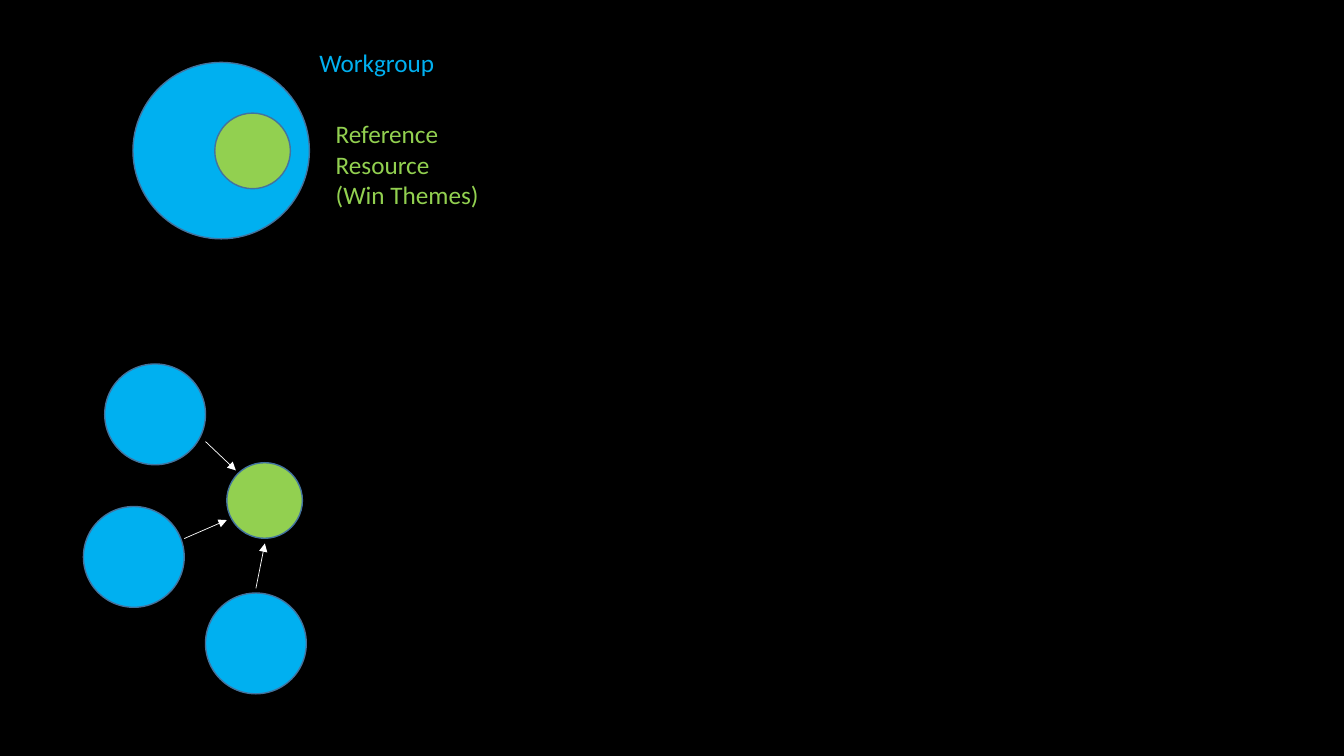
from dataclasses import dataclass
from lxml import etree
from pptx import Presentation
from pptx.dml.color import RGBColor as RGB
from pptx.enum.shapes import MSO_CONNECTOR as CONN, MSO_SHAPE as SHAPE
from pptx.enum.text import MSO_AUTO_SIZE as AUTO
from pptx.oxml.ns import qn
from pptx.util import Pt


@dataclass(frozen=True)
class Theme:
    background: RGB = RGB(0x00, 0x00, 0x00)
    workgroup: RGB = RGB(0x00, 0xB0, 0xF0)
    resource: RGB = RGB(0x92, 0xD0, 0x50)
    outline: RGB = RGB(0x43, 0x73, 0x9E)
    arrow: RGB = RGB(0xFF, 0xFF, 0xFF)
    font: str = "Calibri"
    size: int = 18


theme = Theme()


def add_circle(s, left, top, diameter, color):
    sp = s.shapes.add_shape(SHAPE.OVAL, Pt(left), Pt(top), Pt(diameter), Pt(diameter))
    sp.shadow.inherit = False
    sp.fill.solid()
    sp.fill.fore_color.rgb = color
    sp.line.color.rgb = theme.outline
    sp.line.width = Pt(1)


def add_label(s, left, top, width, height, lines, color):
    sp = s.shapes.add_textbox(Pt(left), Pt(top), Pt(width), Pt(height))
    tf = sp.text_frame
    tf.word_wrap = True
    tf.auto_size = AUTO.SHAPE_TO_FIT_TEXT
    for i, line in enumerate(lines):
        p = tf.add_paragraph() if i else tf.paragraphs[0]
        r = p.add_run()
        r.text = line
        r.font.name = theme.font
        r.font.size = Pt(theme.size)
        r.font.color.rgb = color
    return sp


prs = Presentation()
prs.slide_width, prs.slide_height = Pt(960), Pt(540)
s = prs.slides.add_slide(prs.slide_layouts[6])
s.background.fill.solid()
s.background.fill.fore_color.rgb = theme.background

add_circle(s, 95, 44.6, 126, theme.workgroup)
add_circle(s, 153.4, 80.8, 54, theme.resource)

workgroup_label = add_label(s, 221, 30.5, 96.5, 29, ["Workgroup"], theme.workgroup)
workgroup_label.fill.solid()
workgroup_label.fill.fore_color.rgb = theme.background
add_label(s, 232.7, 81.3, 123, 72.7, ["Reference Resource", "(Win Themes)"], theme.resource)

for left, top in [(59.6, 361.8), (146.8, 423.6), (74.8, 260)]:
    add_circle(s, left, top, 72, theme.workgroup)
add_circle(s, 162, 330.5, 54, theme.resource)

arrows = [
    (146.8, 315.4, 168.5, 336),
    (131.6, 384.7, 162, 371.5),
    (182.8, 420.3, 189.2, 388.2),
]
for x1, y1, x2, y2 in arrows:
    arrow = s.shapes.add_connector(CONN.STRAIGHT, Pt(x1), Pt(y1), Pt(x2), Pt(y2))
    arrow.line.color.rgb = theme.arrow
    arrow.line.width = Pt(0.5)
    sp_pr = arrow.element.spPr
    etree.SubElement(sp_pr.find(qn("a:ln")), qn("a:tailEnd"), type="triangle")
    etree.SubElement(sp_pr, qn("a:effectLst"))

prs.save("out.pptx")
